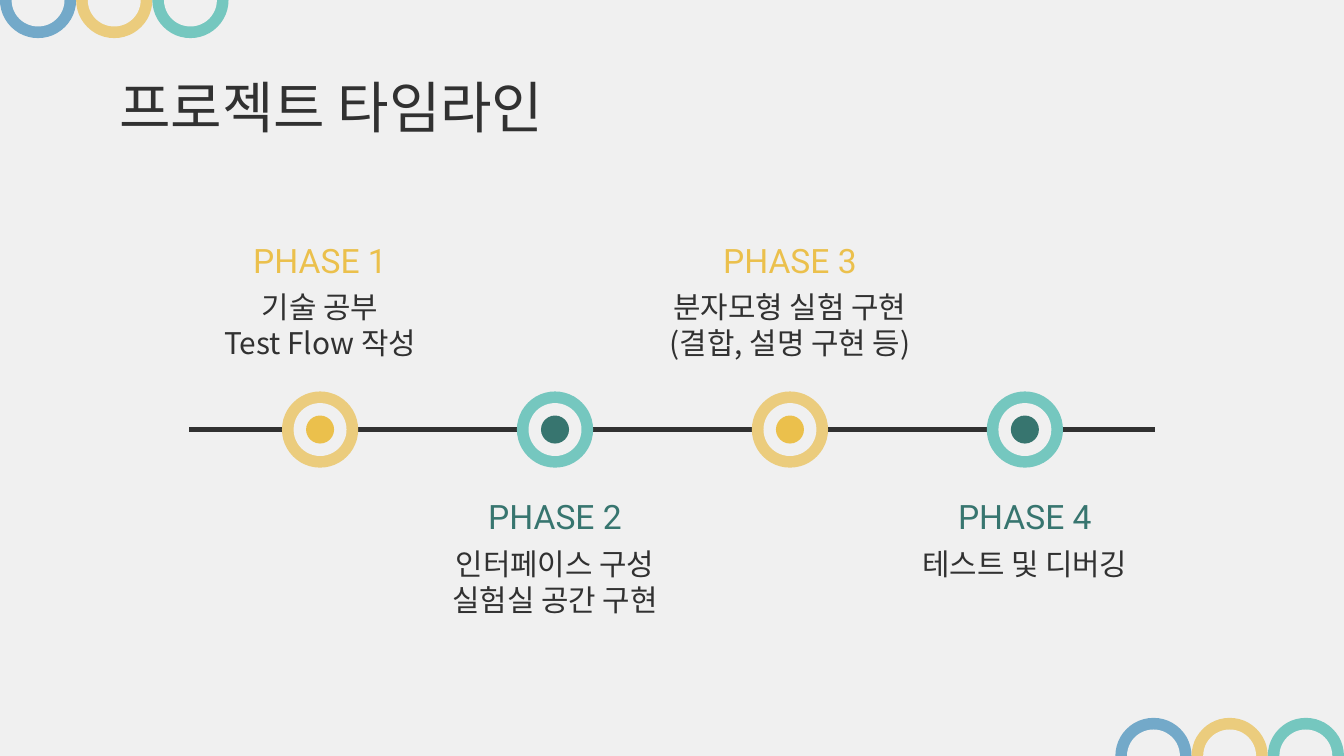
from dataclasses import dataclass
from lxml.etree import SubElement
from pptx import Presentation
from pptx.dml.color import RGBColor
from pptx.enum.shapes import MSO_CONNECTOR, MSO_SHAPE
from pptx.enum.text import MSO_ANCHOR, MSO_AUTO_SIZE, PP_ALIGN
from pptx.oxml.ns import qn
from pptx.util import Cm, Pt


@dataclass(frozen=True)
class Theme:
    background: str = "F0F0F0"
    ink: str = "313131"
    blue: str = "73A9C9"
    sand: str = "EBCC7D"
    mint: str = "75C7BF"
    gold: str = "EBC04C"
    pine: str = "37756F"
    body_font: str = "Noto Sans CJK KR"
    label_font: str = "Roboto"
    title_size: int = 30
    label_size: int = 18
    body_size: int = 16


theme = Theme()
deck = Presentation()
deck.slide_width, deck.slide_height = Cm(25.4), Cm(14.29)
page = deck.slides.add_slide(deck.slide_layouts[5])
page.background.fill.solid()
page.background.fill.fore_color.rgb = RGBColor.from_string(theme.background)


def add_disc(center_x, center_y, diameter, color):
    disc = page.shapes.add_shape(
        MSO_SHAPE.OVAL, Cm(center_x - diameter / 2), Cm(center_y - diameter / 2),
        Cm(diameter), Cm(diameter))
    disc.shadow.inherit = False
    disc.fill.solid()
    disc.fill.fore_color.rgb = RGBColor.from_string(color)
    disc.line.fill.background()


def write_text(box, text, font, size, color, align, anchor):
    frame = box.text_frame
    frame.text = text
    frame.word_wrap = True
    frame.auto_size = MSO_AUTO_SIZE.NONE
    frame.vertical_anchor = anchor
    frame.margin_left = frame.margin_right = Cm(0.25)
    frame.margin_top = frame.margin_bottom = Cm(0.25)
    para = frame.paragraphs[0]
    para.alignment = align
    for span in para.runs:
        span.font.name = font
        span.font.size = Pt(size)
        span.font.color.rgb = RGBColor.from_string(color)
        SubElement(span.font._element, qn("a:ea")).set("typeface", font)


ring, hole, core = 1.44, 1, 0.53
for first_x, edge_y in ((ring / 2, 0), (25.4 - 2.5 * ring, 14.29)):
    for index, color in enumerate((theme.blue, theme.sand, theme.mint)):
        add_disc(first_x + index * ring, edge_y, ring, color)
        add_disc(first_x + index * ring, edge_y, hole, theme.background)

title = page.shapes.title
title.left, title.top, title.width, title.height = Cm(2), Cm(1.5), Cm(21.4), Cm(1.02)
write_text(title, "프로젝트 타임라인", theme.body_font, theme.title_size,
           theme.ink, PP_ALIGN.LEFT, MSO_ANCHOR.MIDDLE)

axis_y = 8.12
axis = page.shapes.add_connector(
    MSO_CONNECTOR.STRAIGHT, Cm(3.58), Cm(axis_y), Cm(21.82), Cm(axis_y))
axis.line.color.rgb = RGBColor.from_string(theme.ink)
axis.line.width = Pt(2.25)
SubElement(axis._element.spPr, qn("a:effectLst"))

phases = (
    ("기술 공부", "Test Flow 작성"),
    ("인터페이스 구성", "실험실 공간 구현"),
    ("분자모형 실험 구현", "(결합, 설명 구현 등)"),
    ("테스트 및 디버깅",),
)
styles = (
    (4.37, theme.sand, theme.gold),
    (9.22, theme.mint, theme.pine),
)
box_width = 5.1
for index, lines in enumerate(phases):
    center_x = 6.05 + index * 4.44
    label_top, ring_color, accent = styles[index % 2]

    detail = page.shapes.add_textbox(
        Cm(center_x - box_width / 2), Cm(label_top + 0.84), Cm(box_width), Cm(1.6))
    write_text(detail, "\v".join(lines), theme.body_font, theme.body_size,
               theme.ink, PP_ALIGN.CENTER, MSO_ANCHOR.TOP)
    detail.text_frame.paragraphs[0].space_after = Pt(16)

    label = page.shapes.add_textbox(
        Cm(center_x - box_width / 2), Cm(label_top), Cm(box_width), Cm(1.09))
    write_text(label, f"PHASE {index + 1}", theme.label_font, theme.label_size,
               accent, PP_ALIGN.CENTER, MSO_ANCHOR.MIDDLE)

    for diameter, color in ((ring, ring_color), (hole, theme.background), (core, accent)):
        add_disc(center_x, axis_y, diameter, color)

deck.save("out.pptx")
